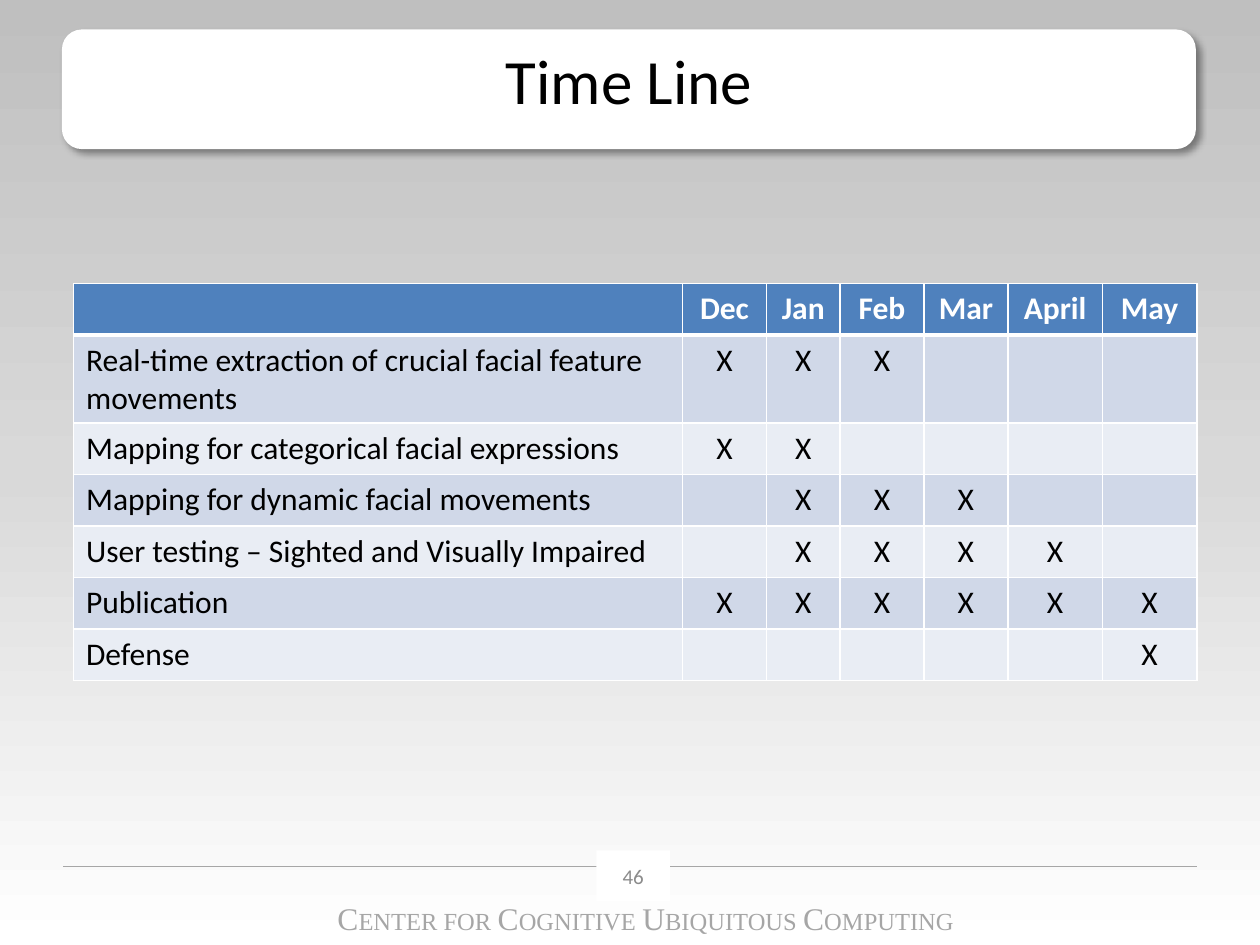
import copy
import pptx
import pptx.util
import pptx.dml.color
import pptx.enum.shapes
import pptx.enum.text
import pptx.oxml
import pptx.oxml.ns

RGB = pptx.dml.color.RGBColor
WHITE = RGB(0xFF, 0xFF, 0xFF)
BLACK = RGB(0x00, 0x00, 0x00)
SILVER = RGB(0xBF, 0xBF, 0xBF)
PALE = RGB(0xD9, 0xD9, 0xD9)
GREY = RGB(0xA6, 0xA6, 0xA6)
DIM = RGB(0x8C, 0x8C, 0x8C)
BLUE = RGB(0x4F, 0x81, 0xBD)
BANDS = [RGB(0xE9, 0xED, 0xF4), RGB(0xD0, 0xD8, 0xE8)]
NS = pptx.oxml.ns.nsdecls("a")
KIND = pptx.enum.shapes.MSO_SHAPE
LEFT = pptx.enum.text.PP_ALIGN.LEFT
MID = pptx.enum.text.PP_ALIGN.CENTER

deck = pptx.Presentation()
deck.slide_width = pptx.util.Inches(10)
deck.slide_height = pptx.util.Inches(7.5)
unit = deck.slide_width / 120
slide = deck.slides.add_slide(deck.slide_layouts[6])
shapes = slide.shapes


def grid(*spans):
    return [round(span * unit) for span in spans]


def write(frame, runs, color, face="Calibri", align=MID, bold=False):
    frame.word_wrap = True
    para = frame.paragraphs[0]
    para.alignment = align
    for text, size in runs:
        run = para.add_run()
        run.text = text
        run.font.size = pptx.util.Pt(size)
        run.font.name = face
        run.font.bold = bold
        run.font.color.rgb = color


back = shapes.add_shape(KIND.RECTANGLE, *grid(0, 0, 120, 90))
back.shadow.inherit = False
back.line.fill.background()
back.fill.gradient()
back.fill.gradient_angle = 270
first = back.fill.gradient_stops[0]._gs
first.addnext(copy.deepcopy(first))
for stop, (place, color) in zip(back.fill.gradient_stops, [(0, SILVER), (0.5, PALE), (1, WHITE)]):
    stop.position = place
    stop.color.rgb = color

title = shapes.add_shape(KIND.ROUNDED_RECTANGLE, *grid(5.9, 2.8, 108, 11.4))
title.shadow.inherit = False
title.fill.solid()
title.fill.fore_color.rgb = WHITE
title.line.fill.background()
title._element.spPr.find(pptx.oxml.ns.qn("a:effectLst")).append(pptx.oxml.parse_xml(
    f'<a:outerShdw {NS} blurRad="50800" dist="38100" dir="2700000" algn="tl" rotWithShape="0">'
    '<a:srgbClr val="000000"><a:alpha val="40000"/></a:srgbClr></a:outerShdw>'))
title.text_frame.vertical_anchor = pptx.enum.text.MSO_ANCHOR.TOP
write(title.text_frame, [("Time Line", 36)], BLACK)

foot = shapes.add_textbox(*grid(26, 85, 71, 4.8))
words = ["CENTER FOR ", "COGNITIVE ", "UBIQUITOUS ", "COMPUTING"]
caps = [part for word in words for part in ((word[0], 18), (word[1:], 14))]
write(foot.text_frame, caps, GREY, "Times New Roman")

rule = shapes.add_connector(pptx.enum.shapes.MSO_CONNECTOR.STRAIGHT, *grid(6, 82.5, 114, 82.5))
rule.line.color.rgb = GREY
rule.line.width = pptx.util.Pt(0.75)
rule._element.spPr.append(pptx.oxml.parse_xml(f"<a:effectLst {NS}/>"))

page = shapes.add_shape(KIND.RECTANGLE, *grid(56.8, 81, 7, 4.8))
page.shadow.inherit = False
page.fill.solid()
page.fill.fore_color.rgb = WHITE
page.line.fill.background()
page.text_frame.vertical_anchor = pptx.enum.text.MSO_ANCHOR.MIDDLE
write(page.text_frame, [("46", 12)], DIM)

months = ["Dec", "Jan", "Feb", "Mar", "April", "May"]
tasks = [
    ("Real-time extraction of crucial facial feature movements", "Dec Jan Feb"),
    ("Mapping for categorical facial expressions", "Dec Jan"),
    ("Mapping for dynamic facial movements", "Jan Feb Mar"),
    ("User testing – Sighted and Visually Impaired", "Jan Feb Mar April"),
    ("Publication", "Dec Jan Feb Mar April May"),
    ("Defense", "May"),
]
rows = [[""] + months]
for task, busy in tasks:
    rows.append([task] + ["Χ" if month in busy.split() else "" for month in months])

widths = [58, 8, 7, 8, 8, 9, 9]
high = 4.9
table = shapes.add_table(len(rows), len(widths), *grid(7, 27, sum(widths), high * len(rows))).table
for col, width in zip(table.columns, widths):
    col.width = grid(width)[0]
for r, row in enumerate(rows):
    table.rows[r].height = grid(high)[0]
    for c, text in enumerate(row):
        cell = table.cell(r, c)
        cell.fill.solid()
        cell.fill.fore_color.rgb = BANDS[r % 2] if r else BLUE
        for spot, side in enumerate("LRTB"):
            thick = 3 if (r, side) in [(0, "B"), (1, "T")] else 1
            cell._tc.tcPr.insert(spot, pptx.oxml.parse_xml(
                f'<a:ln{side} {NS} w="{pptx.util.Pt(thick)}"><a:solidFill>'
                f'<a:srgbClr val="{WHITE}"/></a:solidFill></a:ln{side}>'))
        if text:
            write(cell.text_frame, [(text, 18)], BLACK if r else WHITE,
                  align=MID if c else LEFT, bold=r == 0)
        else:
            cell.text_frame.paragraphs[0].font.size = pptx.util.Pt(18)

deck.save("out.pptx")
